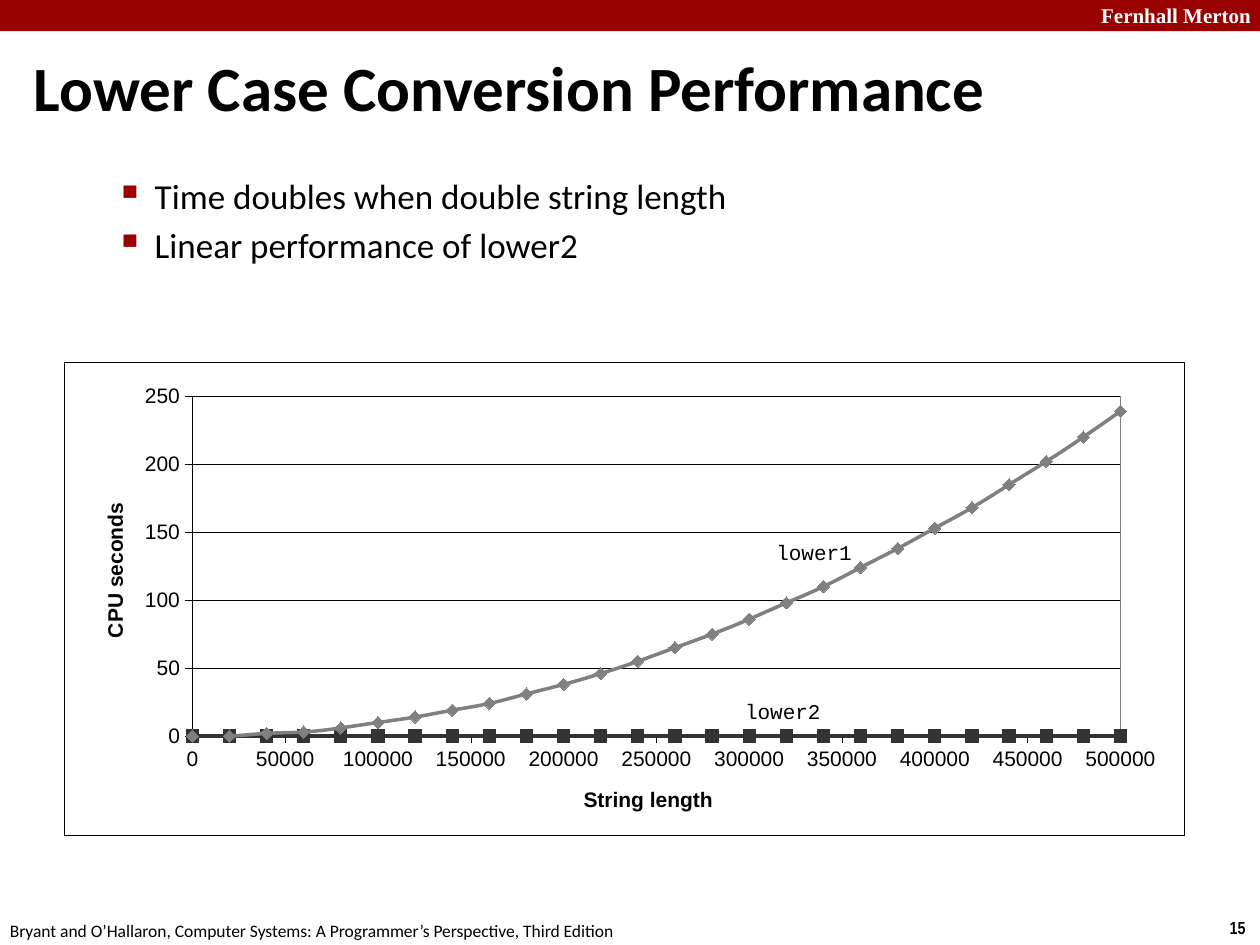
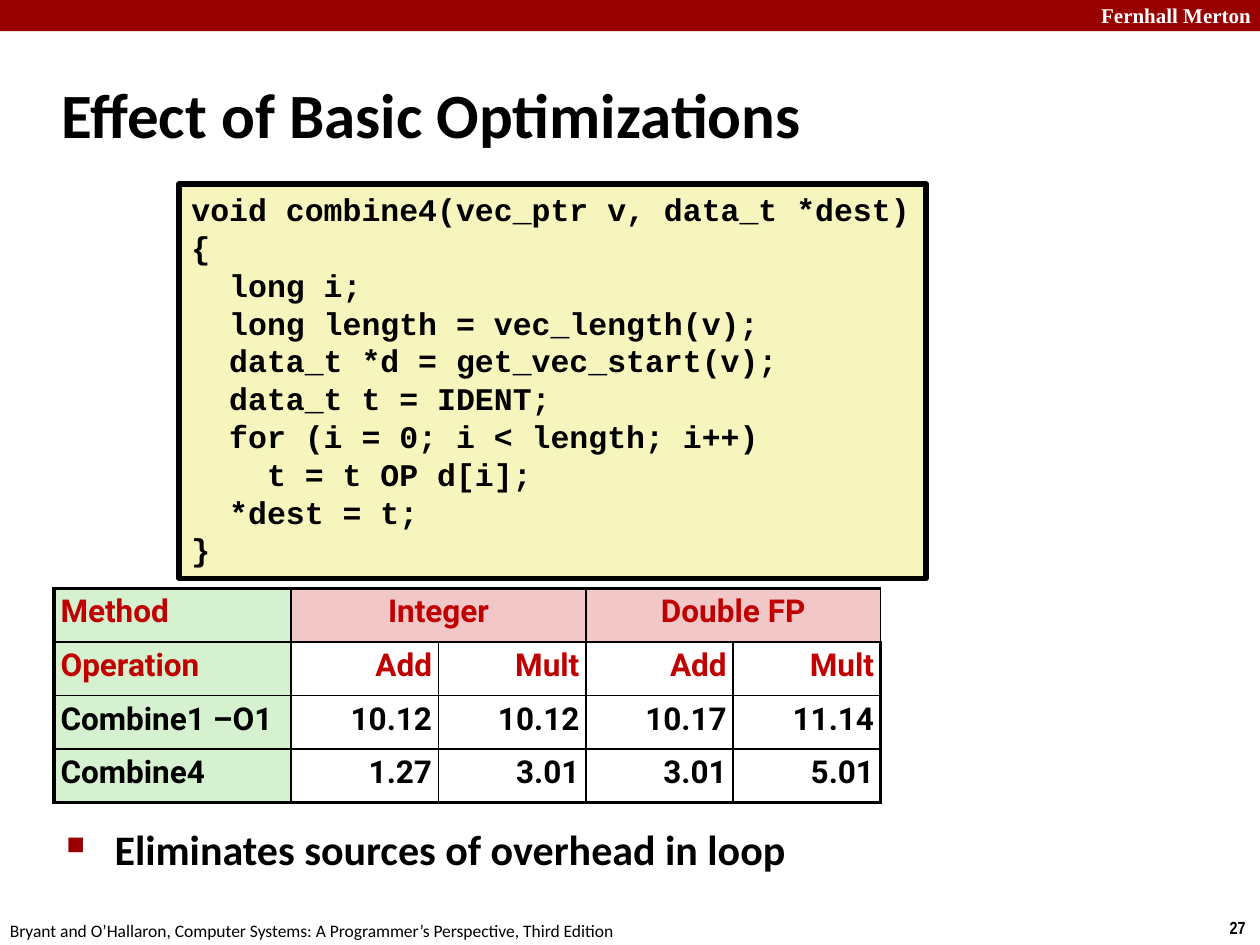
from lxml import etree
from pptx import Presentation
from pptx.chart.data import XyChartData
from pptx.dml.color import RGBColor
from pptx.enum.chart import XL_CHART_TYPE, XL_MARKER_STYLE, XL_TICK_MARK
from pptx.enum.shapes import MSO_SHAPE
from pptx.enum.text import MSO_ANCHOR, PP_ALIGN
from pptx.oxml.ns import qn
from pptx.util import Cm, Pt

BLACK = RGBColor(0x00, 0x00, 0x00)
WHITE = RGBColor(0xFF, 0xFF, 0xFF)
MAROON = RGBColor(0x99, 0x00, 0x00)
RED = RGBColor(0xC0, 0x00, 0x00)
GRAY = RGBColor(0x80, 0x80, 0x80)
DARK = RGBColor(0x33, 0x33, 0x33)
CREAM = RGBColor(0xF6, 0xF5, 0xBD)
GREEN = RGBColor(0xD5, 0xF1, 0xCF)
PINK = RGBColor(0xF1, 0xC7, 0xC7)

RECT = MSO_SHAPE.RECTANGLE
MIDDLE, TOP = MSO_ANCHOR.MIDDLE, MSO_ANCHOR.TOP
LEFT, CENTER, RIGHT = PP_ALIGN.LEFT, PP_ALIGN.CENTER, PP_ALIGN.RIGHT
SMOOTH = XL_CHART_TYPE.XY_SCATTER_SMOOTH
DIAMOND, SQUARE = XL_MARKER_STYLE.DIAMOND, XL_MARKER_STYLE.SQUARE
OUTSIDE, NONE = XL_TICK_MARK.OUTSIDE, XL_TICK_MARK.NONE

SCHOOL = "Fernhall Merton"
CREDIT = ("Bryant and O’Hallaron, Computer Systems: "
          "A Programmer’s Perspective, Third Edition")

LOWER1 = [0, 0, 2, 3, 6, 10, 14, 19, 24, 31, 38, 46, 55, 65, 75, 86, 98,
          110, 124, 138, 153, 168, 185, 202, 220, 239]
LOWER2 = [0] * len(LOWER1)
STEP = 20000

CODE = """\
void combine4(vec_ptr v, data_t *dest)
{
  long i;
  long length = vec_length(v);
  data_t *d = get_vec_start(v);
  data_t t = IDENT;
  for (i = 0; i < length; i++)
    t = t OP d[i];
  *dest = t;
}"""

TIMES = [
    ["Method", "Integer", "", "Double FP", ""],
    ["Operation", "Add", "Mult", "Add", "Mult"],
    ["Combine1 –O1", "10.12", "10.12", "10.17", "11.14"],
    ["Combine4", "1.27", "3.01", "3.01", "5.01"],
]


def add(parent, tag, **attrs):
    node = etree.SubElement(parent, qn(tag))
    for name, value in attrs.items():
        node.set(name, str(value))
    return node


def outline(parent, tag, width, color):
    """Add a solid line of the given width in points."""
    line = add(parent, tag, w=int(Pt(width)))
    add(add(line, "a:solidFill"), "a:srgbClr", val=color)
    return line


def layout(parent, index, **places):
    """Fix the place of a chart part, in fractions of the chart."""
    node = parent.find(qn("c:layout"))
    if node is None:
        node = etree.Element(qn("c:layout"))
        parent.insert(index, node)
    manual = add(node, "c:manualLayout")
    if "w" in places:
        add(manual, "c:layoutTarget", val="inner")
    for side in "xy":
        add(manual, f"c:{side}Mode", val="edge")
    for side, value in places.items():
        add(manual, f"c:{side}", val=value)


class Deck:
    def __init__(self):
        self.prs = Presentation()
        self.prs.slide_width, self.prs.slide_height = Cm(25.4), Cm(19.05)
        self.slide = None

    def style(self, para, size, color=BLACK, face="Calibri", bold=False):
        font = para.font
        font.size, font.name, font.bold = Pt(size), face, bold
        font.color.rgb = color

    def page(self, number):
        """Start a slide with its band and footer."""
        self.slide = self.prs.slides.add_slide(self.prs.slide_layouts[6])
        self.box(0, 0, 25.4, 0.63, MAROON)
        self.text(SCHOOL, 21.95, -0.08, 3.63, 0.76, 12, WHITE,
                  "Times New Roman", True, wrap=False)
        self.text(str(number), 24.54, 18.36, 0.86, 0.69, 10,
                  face="Arial Narrow", bold=True, wrap=False)
        self.text(CREDIT, -0.05, 18.42, 12.9, 0.69, 10, wrap=False)

    def box(self, x, y, w, h, fill, line=None):
        shape = self.slide.shapes.add_shape(RECT, Cm(x), Cm(y), Cm(w), Cm(h))
        shape.shadow.inherit = False
        shape.fill.solid()
        shape.fill.fore_color.rgb = fill
        if line:
            shape.line.color.rgb, shape.line.width = BLACK, Pt(line)
        else:
            shape.line.fill.background()
        return shape

    def put(self, frame, text, size, color=BLACK, face="Calibri",
            bold=False, wrap=True, anchor=TOP):
        """Set one paragraph for each line of the text."""
        frame.word_wrap, frame.vertical_anchor = wrap, anchor
        for i, line in enumerate(text.split("\n")):
            para = frame.paragraphs[0] if i == 0 else frame.add_paragraph()
            para.text, para.alignment = line, LEFT
            self.style(para, size, color, face, bold)

    def text(self, text, x, y, w, h, size, color=BLACK, face="Calibri",
             bold=False, wrap=True, anchor=TOP):
        frame = self.slide.shapes.add_textbox(
            Cm(x), Cm(y), Cm(w), Cm(h)).text_frame
        self.put(frame, text, size, color, face, bold, wrap, anchor)
        return frame

    def title(self, text, x, y, w, h):
        self.text(text, x, y, w, h, 36, bold=True, anchor=MIDDLE)

    def label(self, text, x, y):
        frame = self.text(text, x, y, 1.63, 0.61, 12, face="Courier New",
                          wrap=False)
        frame.margin_left = frame.margin_top = Cm(0.08)
        frame.margin_right = frame.margin_bottom = 0

    def bullets(self, lines, x, y, w, h, size, mark, scale, indent, hang,
                bold=False):
        frame = self.text("\n".join(lines), x, y, w, h, size, bold=bold)
        for para in frame.paragraphs:
            para.space_before = Pt(size * 0.2)
            props = para.font._element.getparent()
            props.set("marL", str(int(Cm(indent))))
            props.set("indent", str(-int(Cm(hang))))
            color = etree.Element(qn("a:buClr"))
            add(color, "a:srgbClr", val=MAROON)
            percent = etree.Element(qn("a:buSzPct"), val=str(scale * 1000))
            char = etree.Element(qn("a:buChar"), char=mark)
            for node in (color, percent, char):
                props.find(qn("a:defRPr")).addprevious(node)

    def code(self, text, x, y, w, h):
        frame = self.box(x, y, w, h, CREAM, 3).text_frame
        self.put(frame, text, 18, face="Courier New", bold=True, wrap=False)

    def axis(self, axis, name, top, unit, x, y):
        axis.minimum_scale, axis.maximum_scale = 0, top
        axis.major_unit = unit
        axis.major_tick_mark, axis.minor_tick_mark = OUTSIDE, NONE
        axis.format.line.color.rgb, axis.format.line.width = BLACK, Pt(0.25)
        self.style(axis.tick_labels, 12, face="Arial")
        axis.tick_labels.number_format = "0"
        axis.tick_labels.number_format_is_linked = False
        title = axis.axis_title
        title.text_frame.text = name
        self.style(title.text_frame.paragraphs[0], 12, face="Arial", bold=True)
        layout(title._element, 1, x=x, y=y)
        return title

    def chart(self, x, y, w, h):
        data = XyChartData()
        for name, values in (("Series 1", LOWER1), ("Series 2", LOWER2)):
            series = data.add_series(name)
            for i, value in enumerate(values):
                series.add_data_point(i * STEP, value)
        chart = self.slide.shapes.add_chart(
            SMOOTH, Cm(x), Cm(y), Cm(w), Cm(h), data).chart
        chart.has_legend = chart.has_title = False
        self.style(chart, 12, face="Arial")
        plot = chart.plots[0]
        plot.vary_by_categories = False
        looks = ((GRAY, DIAMOND), (DARK, SQUARE))
        for series, (color, shape) in zip(plot.series, looks):
            series.format.line.color.rgb = color
            series.format.line.width = Pt(2)
            marker = series.marker
            marker.style, marker.size = shape, 7
            marker.format.fill.solid()
            marker.format.fill.fore_color.rgb = color
            marker.format.line.color.rgb = color
            series._element.find(qn("c:smooth")).set("val", "1")

        self.axis(chart.category_axis, "String length", 500000, 50000,
                  0.46, 0.89)
        chart.category_axis.has_major_gridlines = False
        side = self.axis(chart.value_axis, "CPU seconds", 250, 50, 0.03, 0.29)
        body = side._element.find(".//" + qn("a:bodyPr"))
        body.set("rot", "-5400000")
        body.set("vert", "horz")
        grid = chart.value_axis.major_gridlines.format.line
        grid.color.rgb, grid.width = BLACK, Pt(0.25)

        root = chart._chartSpace.find(qn("c:chart"))
        area = root.find(qn("c:plotArea"))
        layout(area, 0, x=0.114, y=0.073, w=0.829, h=0.718)
        outline(add(area, "c:spPr"), "a:ln", 0.25, GRAY)
        frame = etree.Element(qn("c:spPr"))
        add(add(frame, "a:solidFill"), "a:srgbClr", val=WHITE)
        outline(frame, "a:ln", 0.25, BLACK)
        root.addnext(frame)

    def table(self, rows, x, y, widths, height):
        count, last = len(rows), len(widths) - 1
        table = self.slide.shapes.add_table(
            count, len(widths), Cm(x), Cm(y), Cm(sum(widths)),
            Cm(height * count)).table
        table.first_row = table.horz_banding = False
        for column, width in zip(table.columns, widths):
            column.width = Cm(width)
        for r, row in enumerate(rows):
            table.rows[r].height = Cm(height)
            for c, value in enumerate(row):
                cell = table.cell(r, c)
                edges = {"L": c == 0, "R": c == last,
                         "T": r == 0, "B": r == count - 1}
                props = cell._tc.get_or_add_tcPr()
                for side, outer in edges.items():
                    outline(props, f"a:ln{side}", 2.25 if outer else 1, BLACK)
                cell.fill.solid()
                cell.fill.fore_color.rgb = (
                    GREEN if c == 0 else PINK if r == 0 else WHITE)
                cell.margin_left = cell.margin_right = Cm(0.13)
                cell.margin_top = cell.margin_bottom = Cm(0.13)
                para = cell.text_frame.paragraphs[0]
                para.text, para.line_spacing = value, 0.95
                para.alignment = (
                    LEFT if c == 0 else CENTER if r == 0 else RIGHT)
                self.style(para, 18, RED if r < 2 else BLACK, "Roboto", True)
        for c in (1, 3):
            table.cell(0, c).merge(table.cell(0, c + 1))


def main():
    deck = Deck()

    deck.page(15)
    deck.title("Lower Case Conversion Performance", 0.43, 0.94, 24.33, 1.6)
    deck.bullets(["Time doubles when double string length",
                  "Linear performance of lower2"],
                 0.81, 3.4, 23.09, 2.51, 20, "▪", 110, 2.06, 0.79)
    deck.chart(1.3, 7.29, 22.58, 9.55)
    deck.label("lower1", 15.57, 10.8)
    deck.label("lower2", 14.94, 14)

    deck.page(27)
    deck.title("Effect of Basic Optimizations", 0.99, 1.22, 21.08, 2.11)
    deck.bullets(["Eliminates sources of overhead in loop"],
                 1.09, 16.48, 21.95, 1.5, 24, "■", 60, 0.97, 0.97, bold=True)
    deck.code(CODE, 3.61, 3.71, 15.06, 7.95)
    deck.table(TIMES, 1.09, 11.86, [4.78] + [2.97] * 4, 1.08)

    deck.prs.save("out.pptx")


if __name__ == "__main__":
    main()
